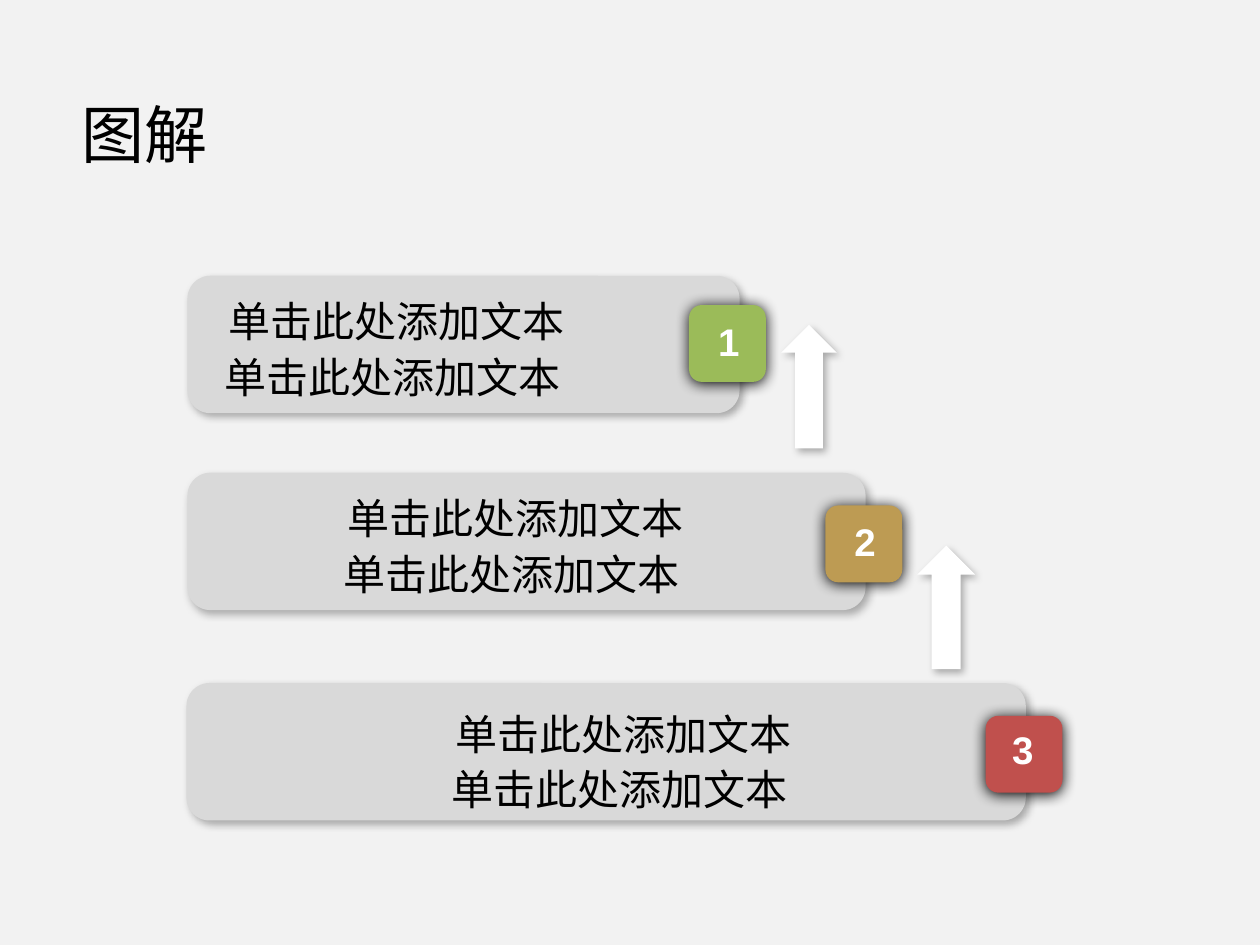
from lxml import etree
from pptx import Presentation
from pptx.dml.color import RGBColor
from pptx.enum import shapes, text
from pptx.oxml.ns import qn
from pptx.util import Cm, Pt

CJK = "Noto Sans CJK SC"
SOFT = (30, 4.5, 2.6, 53)  # opacity %, blur pt, distance pt, angle
GLOW = (100, 8.5, 1, 90)
BADGE = 1.55
LINE_STEP = (-0.08, 1.12)


def color(value):
    return RGBColor.from_string(value)


def add_shadow(shape, opacity, blur, distance, angle):
    shape.shadow.inherit = False
    effects = shape._element.spPr.find(qn("a:effectLst"))
    outer = etree.SubElement(
        effects, qn("a:outerShdw"), blurRad=str(Pt(blur)), dist=str(Pt(distance)),
        dir=str(angle * 60000), algn="ctr", rotWithShape="0")
    black = etree.SubElement(outer, qn("a:srgbClr"), val="000000")
    etree.SubElement(black, qn("a:alpha"), val=str(opacity * 1000))


def add_block(slide, kind, box, fill, shadow):
    block = slide.shapes.add_shape(kind, *map(Cm, box))
    block.fill.solid()
    block.fill.fore_color.rgb = color(fill)
    block.line.fill.background()
    add_shadow(block, *shadow)


def add_label(slide, box, words, size, font=CJK, fill="000000", bold=False,
              align=text.PP_ALIGN.LEFT):
    frame = slide.shapes.add_textbox(*map(Cm, box)).text_frame
    frame.word_wrap = True
    frame.vertical_anchor = text.MSO_ANCHOR.MIDDLE
    paragraph = frame.paragraphs[0]
    paragraph.text = words
    paragraph.alignment = align
    run = paragraph.runs[0]
    run.font.size = Pt(size)
    run.font.bold = bold
    run.font.color.rgb = color(fill)
    run.font.name = font
    etree.SubElement(run._r.get_or_add_rPr(), qn("a:ea"), typeface=font)


def add_step(slide, box, number, fill, badge_at, number_at, lines_at):
    """Bar with two lines of text and a numbered badge over its right end."""
    left, top, width, _ = box
    rounded = shapes.MSO_SHAPE.ROUNDED_RECTANGLE
    add_block(slide, rounded, box, "D9D9D9", SOFT)

    # Numbered badge, measured from the bar's top right corner
    badge_left, badge_top = left + width + badge_at[0], top + badge_at[1]
    add_block(slide, rounded, (badge_left, badge_top, BADGE, BADGE), fill, GLOW)
    add_label(slide, (badge_left + number_at[0], badge_top + number_at[1], 1.6, 1.19),
              number, 22, "Arial", "FFFFFF", True, text.PP_ALIGN.CENTER)

    # Two lines of text
    for row in range(2):
        add_label(slide, (left + lines_at[0] + row * LINE_STEP[0],
                          top + lines_at[1] + row * LINE_STEP[1], 8.13, 1.27),
                  "单击此处添加文本", 24)


def main():
    deck = Presentation()
    deck.slide_width, deck.slide_height = Cm(25.4), Cm(19.05)
    slide = deck.slides.add_slide(deck.slide_layouts[6])
    slide.background.fill.solid()
    slide.background.fill.fore_color.rgb = color("F2F2F2")

    # Title
    add_label(slide, (1.4, 1.78, 8.94, 1.8), "图解", 36)

    # Steps, widening downwards
    steps = [
        ((3.78, 5.56, 11.13, 2.77), "9BBB59", (-1.02, 0.59), (0, 0.13), (0.58, 0.28)),
        ((3.78, 9.53, 13.67, 2.77), "BD9B53", (-0.81, 0.66), (0, 0.13), (2.97, 0.28)),
        ((3.76, 13.77, 16.92, 2.77), "C0504D", (-0.81, 0.66), (-0.05, 0.08), (5.18, 0.38)),
    ]
    for number, (box, *details) in enumerate(steps, start=1):
        add_step(slide, box, str(number), *details)

    # Arrows leading up from step to step
    for arrow in [(18.49, 11, 1.17, 2.49), (15.75, 6.55, 1.12, 2.49)]:
        add_block(slide, shapes.MSO_SHAPE.UP_ARROW, arrow, "FFFFFF", SOFT)

    deck.save("out.pptx")


if __name__ == "__main__":
    main()
